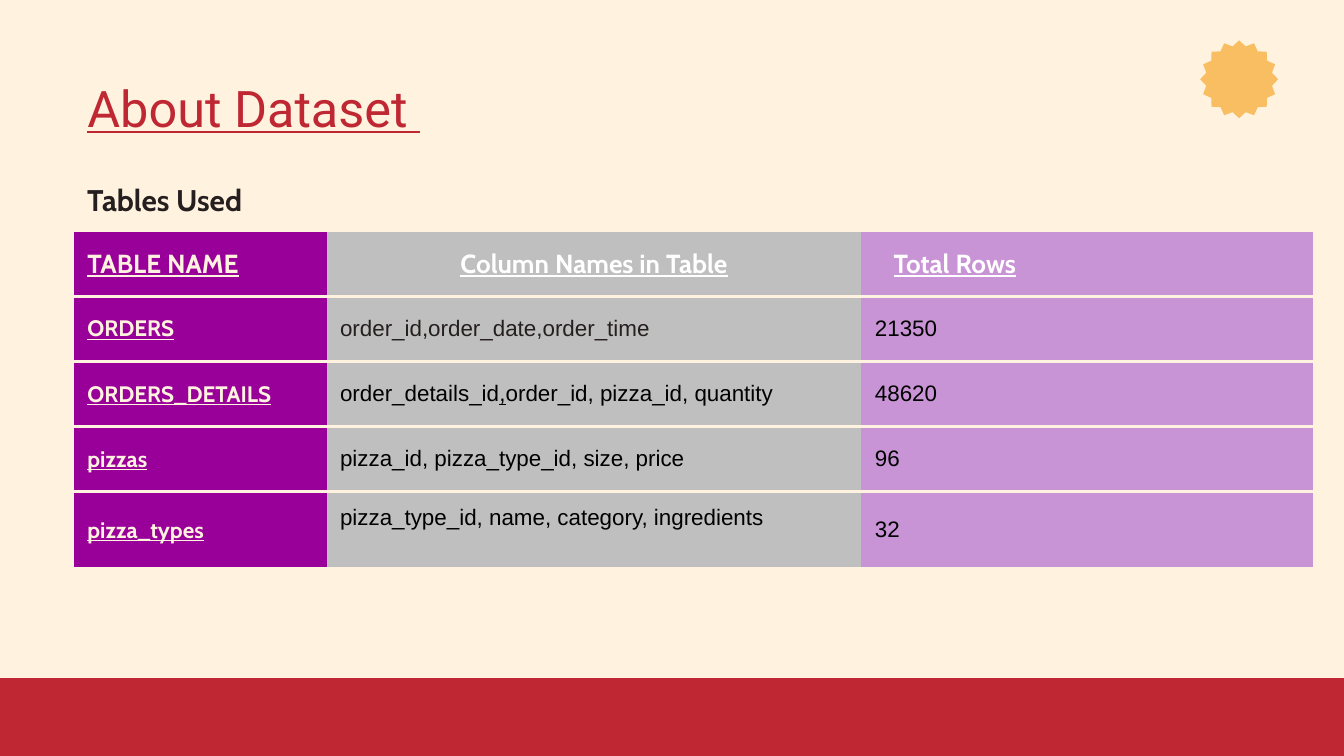
import pptx
import pptx.util
import pptx.dml.color
import pptx.enum.shapes
import pptx.enum.text
import pptx.oxml
import pptx.oxml.ns

Inches = pptx.util.Inches
Shape = pptx.enum.shapes.MSO_SHAPE
Align = pptx.enum.text.PP_ALIGN
Anchor = pptx.enum.text.MSO_ANCHOR

WIDE = 10
HIGH = WIDE * 9 / 16
CREAM, RED, GOLD, INK = "FFF3DF", "BF2733", "F9BD62", "261F1F"
PURPLE, GREY, LILAC = "990099", "BFBFBF", "C994D6"
WHITE, BLACK = "FFFFFF", "000000"


def paint(fill, hue):
    fill.solid()
    fill.fore_color.rgb = pptx.dml.color.RGBColor.from_string(hue)


def write(para, text, size, font, hue, bold=False, line=False):
    run = para.add_run()
    run.text = text
    run.font.size = pptx.util.Pt(size)
    run.font.name = font
    run.font.bold = bold
    run.font.underline = line
    run.font.color.rgb = pptx.dml.color.RGBColor.from_string(hue)


def place(shape, box):
    shape.left, shape.top, shape.width, shape.height = map(Inches, box)


def pad(item, side, edge):
    item.margin_left = item.margin_right = Inches(side)
    item.margin_top = item.margin_bottom = Inches(edge)


def decor(slide, box):
    """Bottom band and corner star, relative to the slide box."""
    left, top, width, height = box
    parts = [
        (Shape.RECTANGLE, RED, (left - 0.03, top + height - 0.58, width + 0.06, 0.58)),
        (Shape.STAR_16_POINT, GOLD, (left + width - 1.07, top + 0.3, 0.58, 0.58)),
    ]
    for kind, hue, spot in parts:
        shape = slide.shapes.add_shape(kind, *map(Inches, spot))
        shape.shadow.inherit = False
        paint(shape.fill, hue)
        shape.line.fill.background()
        if kind == Shape.STAR_16_POINT:
            shape.adjustments[0] = 0.43


def label(shape, box, text, *style):
    """Left-aligned heading text in the given box."""
    place(shape, box)
    frame = shape.text_frame
    frame.word_wrap = True
    frame.auto_size = pptx.enum.text.MSO_AUTO_SIZE.NONE
    frame.vertical_anchor = Anchor.TOP
    pad(frame, 0.1, 0.1)
    para = frame.paragraphs[0]
    para.alignment = Align.LEFT
    write(para, text, *style)


def border(cell):
    """Cream rules above and below, none at the sides."""
    props = cell._tc.get_or_add_tcPr()
    rule = f'<a:solidFill><a:srgbClr val="{CREAM}"/></a:solidFill>'
    blank = "<a:noFill/>"
    sides = [("lnL", blank), ("lnR", blank), ("lnT", rule), ("lnB", rule)]
    for spot, (tag, fill) in enumerate(sides):
        xml = f'<a:{tag} {pptx.oxml.ns.nsdecls("a")} w="19050">{fill}</a:{tag}>'
        props.insert(spot, pptx.oxml.parse_xml(xml))


def grid(slide, box):
    """Table of data sets: name, columns, row count and a spare column."""
    cols = [1.88, 3.98, 1.39, 1.97]
    last = 0.57
    rows = [(box[3] - last) / 4] * 4 + [last]
    heads = [("TABLE NAME", CREAM), ("Column Names in Table", WHITE), ("Total Rows", WHITE)]
    data = [
        ("ORDERS", ["order_id,order_date,order_time"], "21350"),
        ("ORDERS_DETAILS", ["order_details_id", ",", "order_id, pizza_id, quantity"], "48620"),
        ("pizzas", ["pizza_id, pizza_type_id, size, price"], "96"),
        ("pizza_types", ["pizza_type_id, name, category, ingredients"], "32"),
    ]
    frame = slide.shapes.add_table(len(rows), len(cols), *map(Inches, box))
    table = frame.table
    table.first_row = table.horz_banding = False
    for col, width in zip(table.columns, cols):
        col.width = Inches(width)
    for row, height in zip(table.rows, rows):
        row.height = Inches(height)

    # Cell looks
    for row in table.rows:
        for cell, hue in zip(row.cells, [PURPLE, GREY, LILAC, LILAC]):
            paint(cell.fill, hue)
            border(cell)
            pad(cell, 0.1, 0)
            cell.vertical_anchor = Anchor.MIDDLE

    # Header row
    for spot, (text, hue) in enumerate(heads):
        para = table.cell(0, spot).text_frame.paragraphs[0]
        para.alignment = Align.CENTER if spot else Align.LEFT
        write(para, text, 14, "Cabin", hue, True, True)

    # Data rows
    for spot, (name, fields, count) in enumerate(data, 1):
        key, mid, sum_ = [table.cell(spot, n).text_frame.paragraphs[0] for n in range(3)]
        write(key, name, 12, "Cabin", CREAM, True, True)
        for text in fields:
            write(mid, text, 12, "Arial", INK if spot == 1 else BLACK, False, text == ",")
        write(sum_, count, 12, "Arial", BLACK)
    end = table.cell(len(data), 1)
    end.vertical_anchor = Anchor.TOP
    pad(end, 0.1, 0.1)


def main():
    deck = pptx.Presentation()
    deck.slide_width, deck.slide_height = Inches(WIDE), Inches(HIGH)
    slide = deck.slides.add_slide(deck.slide_layouts[5])
    paint(slide.background.fill, CREAM)

    decor(slide, (0, 0, WIDE, HIGH))
    label(slide.shapes.title, (0.55, 0.47, 8.43, 0.63),
          "About Dataset ", 27, "Roboto", RED, False, True)
    grid(slide, (0.55, 1.72, 9.22, 2.51))
    box = (0.55, 1.25, 8.43, 0.4)
    note = slide.shapes.add_textbox(*map(Inches, box))
    label(note, box, "Tables Used", 16, "Cabin", INK, True)

    deck.save("out.pptx")


if __name__ == "__main__":
    main()
